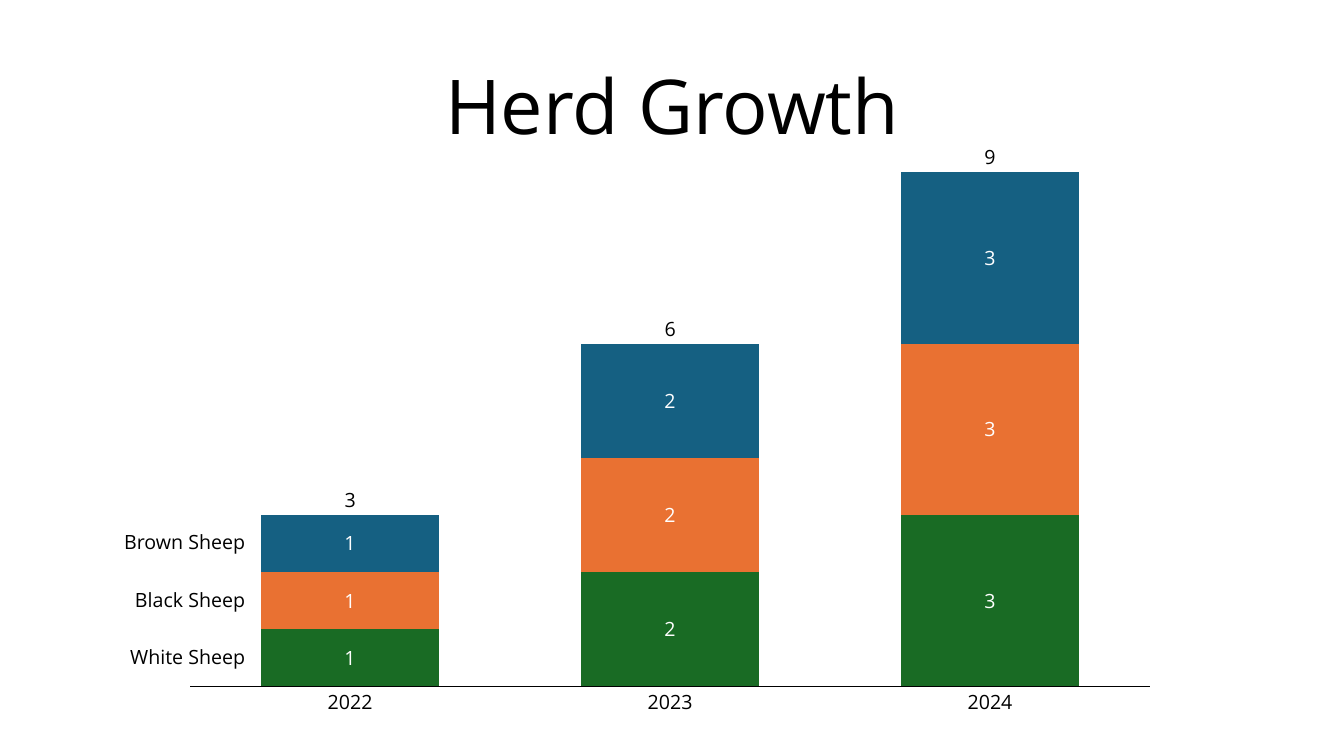
from lxml.etree import SubElement
from pptx import Presentation
from pptx.chart.data import CategoryChartData
from pptx.dml.color import RGBColor
from pptx.enum.chart import XL_CHART_TYPE, XL_LABEL_POSITION, XL_TICK_LABEL_POSITION, XL_TICK_MARK
from pptx.enum.text import MSO_ANCHOR, PP_ALIGN
from pptx.oxml.ns import qn
from pptx.util import Cm, Pt

BLACK = RGBColor(0x00, 0x00, 0x00)
WHITE = RGBColor(0xFF, 0xFF, 0xFF)
GREEN = RGBColor(0x19, 0x6B, 0x24)
ORANGE = RGBColor(0xE9, 0x71, 0x32)
BLUE = RGBColor(0x15, 0x60, 0x82)
FONT = "Open Sans"

TITLE = "Herd Growth"
YEARS = ["2022", "2023", "2024"]
# Breeds from the bottom of each column to the top
HERD = [
    ("White Sheep", (1, 2, 3), GREEN),
    ("Black Sheep", (1, 2, 3), ORANGE),
    ("Brown Sheep", (1, 2, 3), BLUE),
]
TOTALS = [sum(counts) for counts in zip(*(values for _, values, _ in HERD))]

# Chart frame in cm, and the plot area as fractions of it
LEFT, TOP, WIDTH, HEIGHT = 4.57, 3.49, 24.66, 14.66
PLOT = {"x": 0.009, "y": 0.058, "w": 0.981, "h": 0.884}
GAP = 80
YEAR_W, TOTAL_W, BREED_W, LABEL_H = 1.5, 0.4, 3.4, 0.53

plot_left = LEFT + PLOT["x"] * WIDTH
plot_bottom = TOP + (PLOT["y"] + PLOT["h"]) * HEIGHT
slot = PLOT["w"] * WIDTH / len(YEARS)
bar = slot / (1 + GAP / 100)
unit = PLOT["h"] * HEIGHT / max(TOTALS)


def add_text(slide, text, left, top, width, height, size=14, align=PP_ALIGN.CENTER,
             anchor=MSO_ANCHOR.TOP, margin=0, wrap=False):
    tf = slide.shapes.add_textbox(Cm(left), Cm(top), Cm(width), Cm(height)).text_frame
    tf.word_wrap = wrap
    tf.vertical_anchor = anchor
    tf.margin_left = tf.margin_right = Cm(margin)
    tf.margin_top = tf.margin_bottom = Cm(margin / 2)
    p = tf.paragraphs[0]
    p.alignment = align
    p.line_spacing = 0.9
    r = p.add_run()
    r.text = text
    set_font(r.font, size, BLACK)


def set_font(font, size, color):
    font.name = FONT
    font.size = Pt(size)
    font.color.rgb = color


def fix_plot_area(chart):
    """Pin the inner plot area to the PLOT fractions."""
    area = chart.plots[0]._element.getparent()
    layout = area.find(qn("c:layout"))
    if layout is None:
        layout = SubElement(area, qn("c:layout"))
        area.insert(0, layout)
    manual = SubElement(layout, qn("c:manualLayout"))
    settings = {"layoutTarget": "inner", "xMode": "edge", "yMode": "edge", **PLOT}
    for name, value in settings.items():
        SubElement(manual, qn(f"c:{name}")).set("val", str(value))


def add_herd_chart(slide):
    data = CategoryChartData()
    data.categories = YEARS
    for breed, values, _ in HERD:
        data.add_series(breed, values)
    chart = slide.shapes.add_chart(XL_CHART_TYPE.COLUMN_STACKED, Cm(LEFT), Cm(TOP),
                                   Cm(WIDTH), Cm(HEIGHT), data).chart
    set_font(chart.font, 10, BLACK)
    chart.has_legend = chart.has_title = False

    axis = chart.category_axis
    axis.tick_label_position = XL_TICK_LABEL_POSITION.NONE
    axis.major_tick_mark = axis.minor_tick_mark = XL_TICK_MARK.NONE
    axis.format.line.color.rgb = BLACK
    axis.format.line.width = Pt(0.75)

    axis = chart.value_axis
    axis.minimum_scale, axis.maximum_scale = 0, max(TOTALS)
    axis.has_major_gridlines = False
    axis.visible = False

    plot = chart.plots[0]
    plot.gap_width, plot.overlap = GAP, 100
    plot.vary_by_categories = False
    for series, (_, _, color) in zip(plot.series, HERD):
        series.format.fill.solid()
        series.format.fill.fore_color.rgb = color
        labels = series.data_labels
        labels.show_value = True
        labels.position = XL_LABEL_POSITION.CENTER
        set_font(labels.font, 14, WHITE)
    fix_plot_area(chart)


prs = Presentation()
prs.slide_width, prs.slide_height = Cm(33.87), Cm(19.05)
s = prs.slides.add_slide(prs.slide_layouts[6])

add_text(s, TITLE, 8.48, 1.68, 16.92, 2.24, size=54, anchor=MSO_ANCHOR.BOTTOM,
         margin=0.25, wrap=True)
add_herd_chart(s)

for i, (year, total) in enumerate(zip(YEARS, TOTALS)):
    center = plot_left + (i + 0.5) * slot
    add_text(s, year, center - YEAR_W / 2, plot_bottom + 0.16, YEAR_W, LABEL_H)
    add_text(s, str(total), center - TOTAL_W / 2, plot_bottom - total * unit - 0.08 - LABEL_H,
             TOTAL_W, LABEL_H, anchor=MSO_ANCHOR.BOTTOM)

breed_right = plot_left + (slot - bar) / 2 - 0.4
base = 0
for breed, values, _ in HERD:
    middle = plot_bottom - (base + values[0] / 2) * unit
    add_text(s, breed, breed_right - BREED_W, middle - LABEL_H / 2, BREED_W, LABEL_H,
             align=PP_ALIGN.RIGHT, anchor=MSO_ANCHOR.MIDDLE)
    base += values[0]

prs.save("out.pptx")
